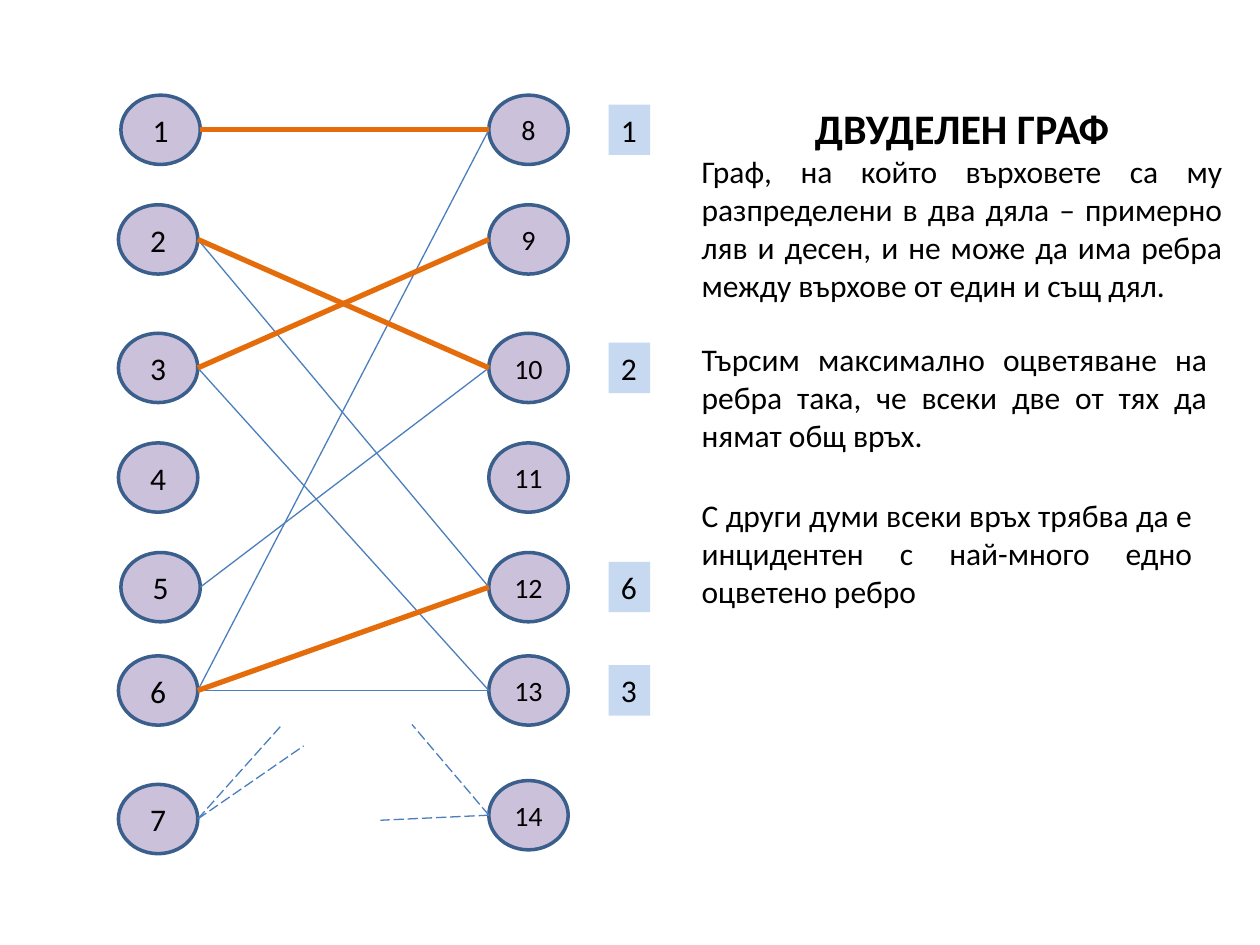
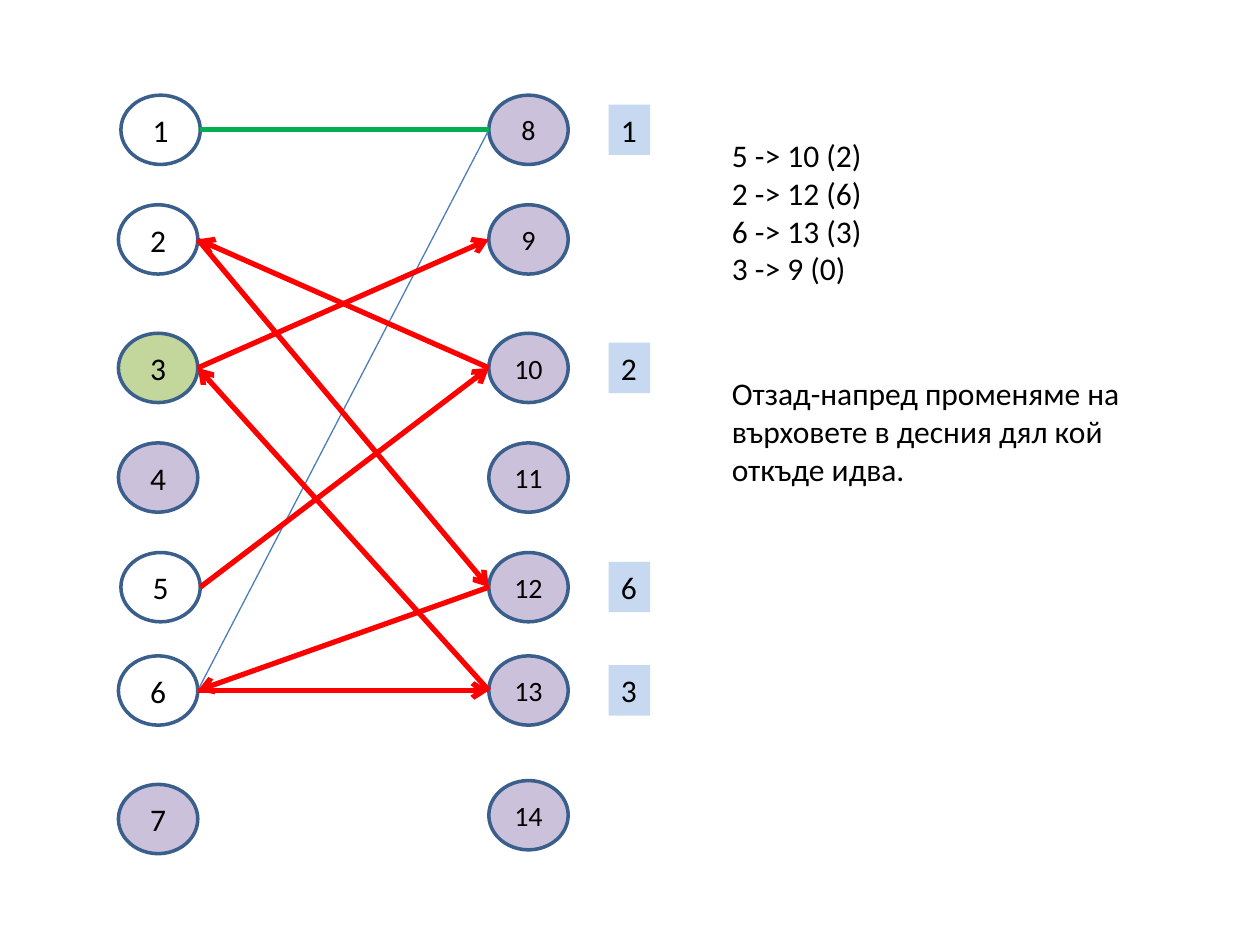
from lxml import etree
from pptx import Presentation
from pptx import util as u
from pptx.dml.color import RGBColor
from pptx.enum import dml, shapes, text
from pptx.oxml.ns import qn

FONT = "Calibri"
BLACK, WHITE, LILAC, LIME = "000000", "FFFFFF", "CCC1DA", "C3D69B"
OUTLINE, CHIP, BLUE = "3A5F8C", "C6D9F1", "4B7EBC"
ORANGE, RED, GREEN = "E46C0A", "FF0000", "00B050"
THIN, THICK = 0.75, 3
NODE_W, NODE_H = 0.63, 0.55
CHIP_X, CHIP_W, CHIP_H = 4.83, 0.33, 0.4
LEFT_X, RIGHT_X, INDENT = 0.94, 3.88, 0.02

# Vertical centre of each row; the last row differs between the two parts
ROWS = [1.03, 1.9, 2.92, 3.79, 4.66, 5.48]
CENTRES = dict(enumerate(ROWS + [6.5] + ROWS + [6.47], 1))
INDENTED = (1, 5)
MATCHES = {8: "1", 10: "2", 12: "6", 13: "3"}  # right vertex: its partner

TITLE = "ДВУДЕЛЕН ГРАФ"
NOTES = [  # left, top, width, height, text
    (5.47, 1.16, 4.33, 1.32, "Граф, на който върховете са му разпределени в два дяла – "
     "примерно ляв и десен, и не може да има ребра между върхове от един и същ дял."),
    (5.47, 2.65, 4.21, 1.01, "Търсим максимално оцветяване на ребра така, "
     "че всеки две от тях да нямат общ връх."),
    (5.47, 3.89, 4.09, 1.01, "С други думи всеки връх трябва да е инцидентен "
     "с най-много едно оцветено ребро"),
]
PLAIN_EDGES = [(3, 13), (5, 10), (6, 8), (2, 12), (6, 13)]
MATCHED_EDGES = [(2, 10), (3, 9), (6, 12), (1, 8)]
LOOSE_ENDS = [(7, 2.24, 5.75), (7, 2.41, 5.92), (14, 3.27, 5.75), (14, 3.02, 6.51)]

AUGMENTING_PATH = [5, 10, 2, 12, 6, 13, 3, 9]
VISITED = {1: WHITE, 2: WHITE, 3: LIME, 5: WHITE, 6: WHITE}
STEPS = ["5 -> 10 (2)", "2 -> 12 (6)", "6 -> 13 (3)", "3 -> 9 (0)"]
SUMMARY = "Отзад-напред променяме на върховете в десния дял кой откъде идва."


def rgb(value):
    return RGBColor.from_string(value)


def inches(*lengths):
    return [u.Inches(v) for v in lengths]


def write(sp, lines, size=18, bold=False, align=text.PP_ALIGN.LEFT,
          anchor=text.MSO_ANCHOR.TOP, wrap=True, grow=False):
    tf = sp.text_frame
    tf.word_wrap = wrap
    tf.vertical_anchor = anchor
    tf.auto_size = (text.MSO_AUTO_SIZE.SHAPE_TO_FIT_TEXT if grow
                    else text.MSO_AUTO_SIZE.NONE)
    for i, line in enumerate(lines):
        p = tf.add_paragraph() if i else tf.paragraphs[0]
        p.alignment = align
        r = p.add_run()
        r.text = line
        r.font.name, r.font.size, r.font.bold = FONT, u.Pt(size), bold
        r.font.color.rgb = rgb(BLACK)


def note(s, box, lines, **fmt):
    sp = s.shapes.add_textbox(*inches(*box))
    write(sp, lines, grow=True, **fmt)
    return sp


def port(n):
    """Point on a vertex's inner side, where its edges meet it."""
    if n > 7:
        return RIGHT_X, CENTRES[n]
    return LEFT_X + NODE_W + INDENT * (n in INDENTED), CENTRES[n]


def link(s, start, end, color, width, dashed=False, arrow=False):
    c = s.shapes.add_connector(shapes.MSO_CONNECTOR.STRAIGHT, *inches(*start, *end))
    c.line.color.rgb = rgb(color)
    c.line.width = u.Pt(width)
    if dashed:
        c.line.dash_style = dml.MSO_LINE.LONG_DASH
    if arrow:
        etree.SubElement(c.line._get_or_add_ln(), qn("a:tailEnd"), type="arrow")
    etree.SubElement(c._element.spPr, qn("a:effectLst"))


def draw_vertices(s, fills):
    for n, centre in CENTRES.items():
        right = n > 7
        x = RIGHT_X if right else port(n)[0] - NODE_W
        sp = s.shapes.add_shape(shapes.MSO_SHAPE.OVAL,
                                *inches(x, centre - NODE_H / 2, NODE_W, NODE_H))
        sp.shadow.inherit = False
        sp.fill.solid()
        sp.fill.fore_color.rgb = rgb(fills.get(n, LILAC))
        sp.line.color.rgb = rgb(OUTLINE)
        sp.line.width = u.Pt(2)
        write(sp, [str(n)], size=16 if right else 18,
              align=text.PP_ALIGN.CENTER, anchor=text.MSO_ANCHOR.MIDDLE)
    for n, partner in MATCHES.items():
        box = CHIP_X, CENTRES[n] - CHIP_H / 2, CHIP_W, CHIP_H
        sp = note(s, box, [partner], wrap=False)
        sp.fill.solid()
        sp.fill.fore_color.rgb = rgb(CHIP)


def definition_slide(prs):
    s = prs.slides.add_slide(prs.slide_layouts[5])
    title = s.shapes.title
    title.left, title.top, title.width, title.height = inches(5.47, 0.76, 4.33, 0.5)
    write(title, [TITLE], size=24, bold=True, align=text.PP_ALIGN.CENTER)
    draw_vertices(s, {})
    for a, b in PLAIN_EDGES:
        link(s, port(a), port(b), BLUE, THIN)
    for a, b in MATCHED_EDGES:
        link(s, port(a), port(b), ORANGE, THICK)
    for n, *end in LOOSE_ENDS:
        link(s, port(n), end, BLUE, THIN, dashed=True)
    for *box, words in NOTES:
        note(s, box, [words], align=text.PP_ALIGN.JUSTIFY)


def augmenting_slide(prs):
    s = prs.slides.add_slide(prs.slide_layouts[6])
    draw_vertices(s, VISITED)
    link(s, port(6), port(8), BLUE, THIN)
    link(s, port(1), port(8), GREEN, THICK)
    for a, b in zip(AUGMENTING_PATH, AUGMENTING_PATH[1:]):
        link(s, port(a), port(b), RED, THICK, arrow=True)
    note(s, (5.71, 1.03, 1.25, 1.31), STEPS, wrap=False)
    note(s, (5.71, 2.92, 3.7, 1.01), [SUMMARY])


def main():
    prs = Presentation()
    prs.slide_width, prs.slide_height = inches(10, 7.5)
    definition_slide(prs)
    augmenting_slide(prs)
    prs.save("out.pptx")


if __name__ == "__main__":
    main()
